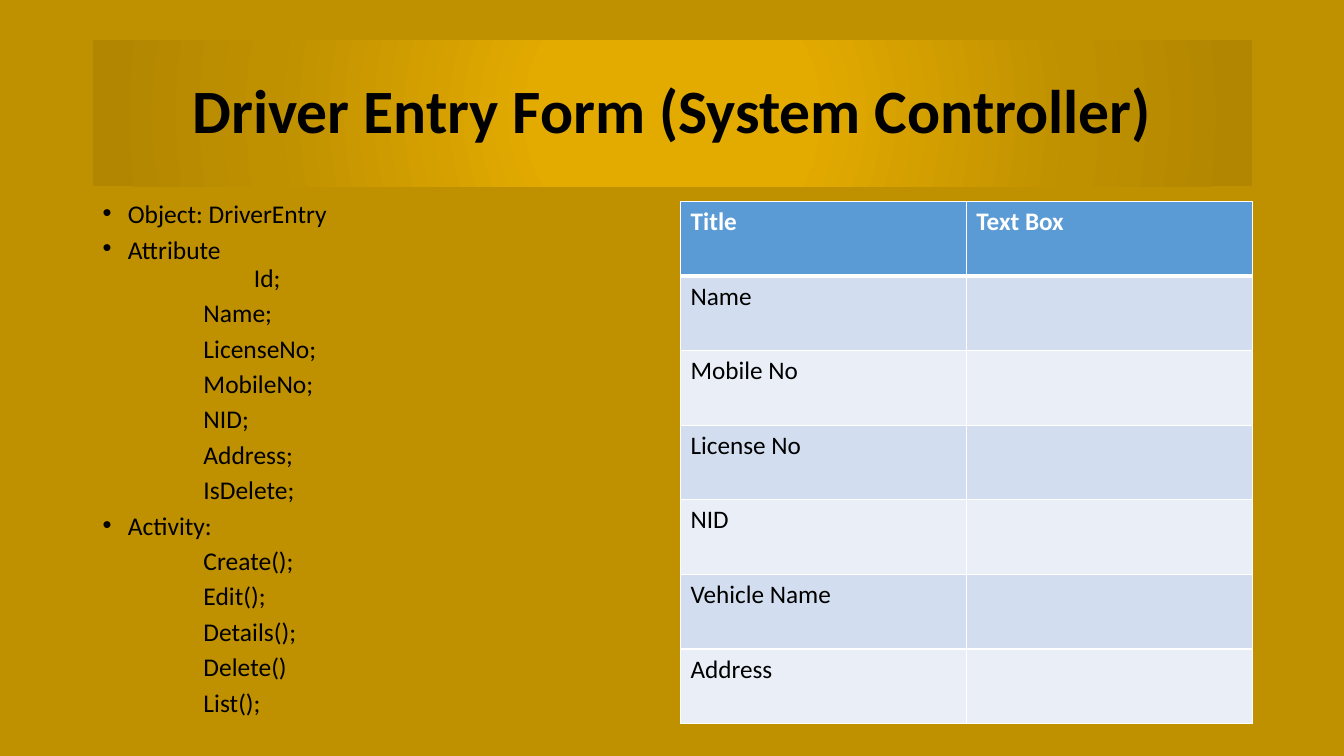
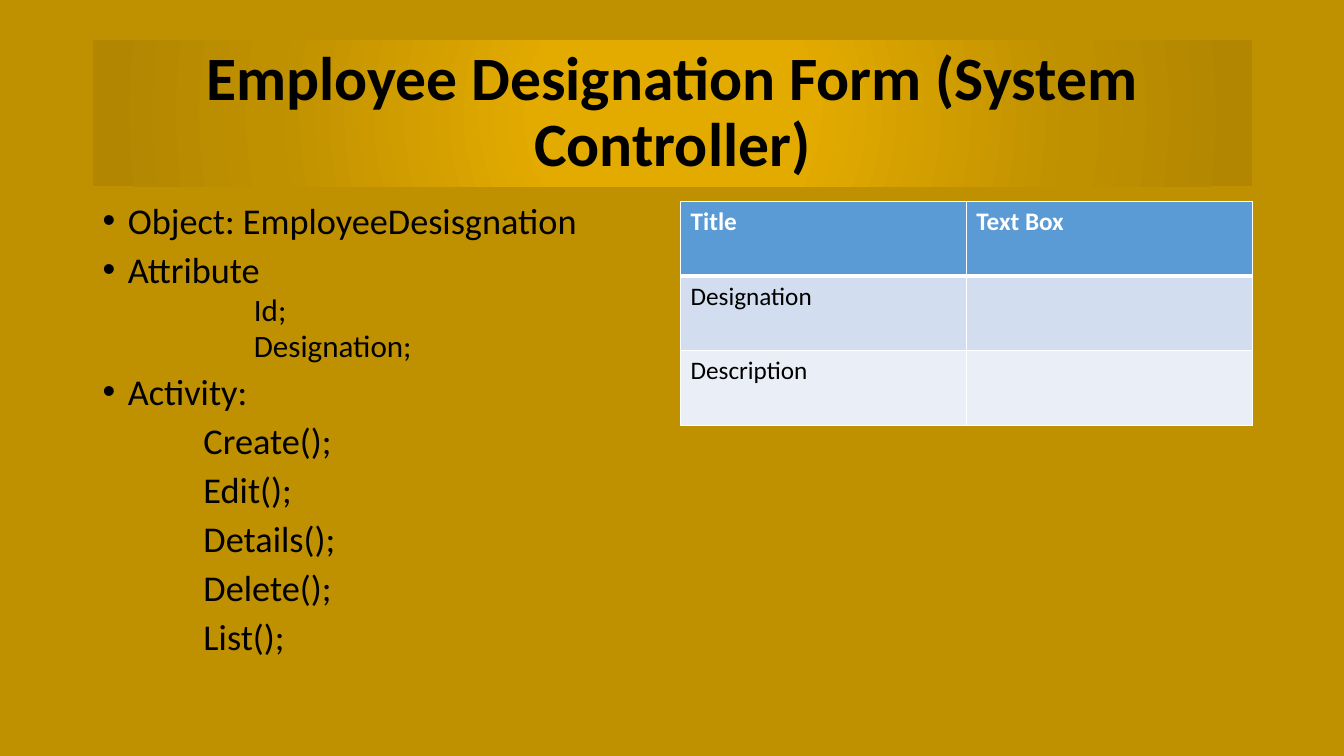
"""Build two entry form slides, each with a class outline and a field table."""
from lxml import etree
from pptx import Presentation
from pptx import util as u
from pptx.dml.color import RGBColor
from pptx.enum import text
from pptx.oxml import parse_xml
from pptx.oxml.ns import nsdecls, qn

GOLD = RGBColor(0xBF, 0x90, 0x00)
AMBER = RGBColor(0xE3, 0xAB, 0x00)
BRONZE = RGBColor(0xB2, 0x86, 0x00)
BLACK = RGBColor(0, 0, 0)
WHITE = RGBColor(0xFF, 0xFF, 0xFF)
BLUE = RGBColor(0x5B, 0x9B, 0xD5)
STRIPES = (RGBColor(0xEA, 0xEF, 0xF7), RGBColor(0xD2, 0xDE, 0xEF))
TITLE_STOPS = ((0, AMBER), (23, AMBER), (69, GOLD), (97, BRONZE))

LEFT, TABLE_LEFT, TOP = 0.92, 6.75, 2
TITLE_WIDTH, COLUMN_WIDTH = 11.5, 5.67
ROW_HEIGHT = 0.74

HEADING, MEMBER, FIELD = "heading", "member", "field"
INDENTS = {HEADING: 0.25, MEMBER: 1, FIELD: 1.5}


class Deck:
    """Hold the shared style and the current slide."""

    def __init__(self):
        self.show = Presentation()
        self.show.slide_width = u.Inches(13.33)
        self.show.slide_height = u.Inches(7.5)
        self.slide = None

    def style(self, paragraph, size, color=BLACK, bold=False):
        for run in paragraph.runs:
            run.font.name = "Calibri"
            run.font.size = u.Pt(size)
            run.font.bold = bold
            run.font.color.rgb = color

    def start(self, heading):
        self.slide = self.show.slides.add_slide(self.show.slide_layouts[5])
        background = self.slide.background.fill
        background.solid()
        background.fore_color.rgb = GOLD
        title = self.slide.shapes.title
        title.left, title.top = u.Inches(LEFT), u.Inches(0.4)
        title.width, title.height = u.Inches(TITLE_WIDTH), u.Inches(1.45)
        stops = "".join(
            f'<a:gs pos="{place * 1000}"><a:srgbClr val="{color}"/></a:gs>'
            for place, color in TITLE_STOPS)
        title.element.spPr.append(parse_xml(
            f'<a:gradFill {nsdecls("a")}><a:gsLst>{stops}</a:gsLst>'
            '<a:path path="circle"><a:fillToRect l="50000" t="50000" '
            'r="50000" b="50000"/></a:path></a:gradFill>'))
        frame = title.text_frame
        frame.text = heading
        frame.word_wrap = True
        frame.auto_size = text.MSO_AUTO_SIZE.NONE
        frame.vertical_anchor = text.MSO_ANCHOR.MIDDLE
        line = frame.paragraphs[0]
        line.alignment = text.PP_ALIGN.CENTER
        line.line_spacing = 0.9
        self.style(line, 44, bold=True)

    def outline(self, entries, height, size, field_size, spacing):
        frame = self.slide.shapes.add_textbox(
            u.Inches(LEFT), u.Inches(TOP),
            u.Inches(COLUMN_WIDTH), u.Inches(height)).text_frame
        frame.word_wrap = True
        frame.text = "\n".join(words for _, words in entries)
        for line, (role, _) in zip(frame.paragraphs, entries):
            line.line_spacing = spacing
            line.space_before = u.Pt(5 if role == FIELD else 10)
            self.style(line, field_size if role == FIELD else size)
            layout = line._p.get_or_add_pPr()
            layout.set("marL", str(u.Inches(INDENTS[role])))
            if role == HEADING:
                layout.set("indent", str(-u.Inches(INDENTS[role])))
                etree.SubElement(layout, qn("a:buFont"), typeface="Arial")
                etree.SubElement(layout, qn("a:buChar"), char="\u2022")

    def borders(self, cell, bottom):
        properties = cell._tc.get_or_add_tcPr()
        for side, points in (("L", 1), ("R", 1), ("T", 1), ("B", bottom)):
            properties.append(parse_xml(
                f'<a:ln{side} {nsdecls("a")} w="{u.Pt(points)}"><a:solidFill>'
                f'<a:srgbClr val="{WHITE}"/></a:solidFill></a:ln{side}>'))

    def form(self, labels):
        rows = [("Title", "Text Box")] + [(label, "") for label in labels]
        table = self.slide.shapes.add_table(
            len(rows), 2, u.Inches(TABLE_LEFT), u.Inches(TOP),
            u.Inches(COLUMN_WIDTH), u.Inches(ROW_HEIGHT * len(rows))).table
        for number, row in enumerate(rows):
            header = number == 0
            for column, words in enumerate(row):
                cell = table.cell(number, column)
                cell.text = words
                self.borders(cell, 3 if header else 1)
                cell.fill.solid()
                cell.fill.fore_color.rgb = BLUE if header else STRIPES[number % 2]
                self.style(cell.text_frame.paragraphs[0], 18,
                           WHITE if header else BLACK, header)


def members(*names):
    return [(MEMBER, name) for name in names]


deck = Deck()

deck.start("Driver Entry Form (System Controller)")
deck.outline(
    [(HEADING, "Object: DriverEntry"), (HEADING, "Attribute"), (FIELD, "Id;"),
     *members("Name;", "LicenseNo;", "MobileNo;", "NID;", "Address;", "IsDelete;"),
     (HEADING, "Activity:"),
     *members("Create();", "Edit();", "Details();", "Delete()", "List();")],
    height=5.14, size=18.2, field_size=18.2, spacing=0.7)
deck.form(["Name", "Mobile No", "License No", "NID", "Vehicle Name", "Address"])

deck.start("Employee Designation Form (System Controller)")
deck.outline(
    [(HEADING, "Object: EmployeeDesisgnation"), (HEADING, "Attribute"),
     (FIELD, "Id;"), (FIELD, "Designation;"), (HEADING, "Activity:"),
     *members("Create();", "Edit();", "Details();", "Delete();", "List();")],
    height=4.76, size=25.9, field_size=22.2, spacing=0.8)
deck.form(["Designation", "Description"])

deck.show.save("out.pptx")
